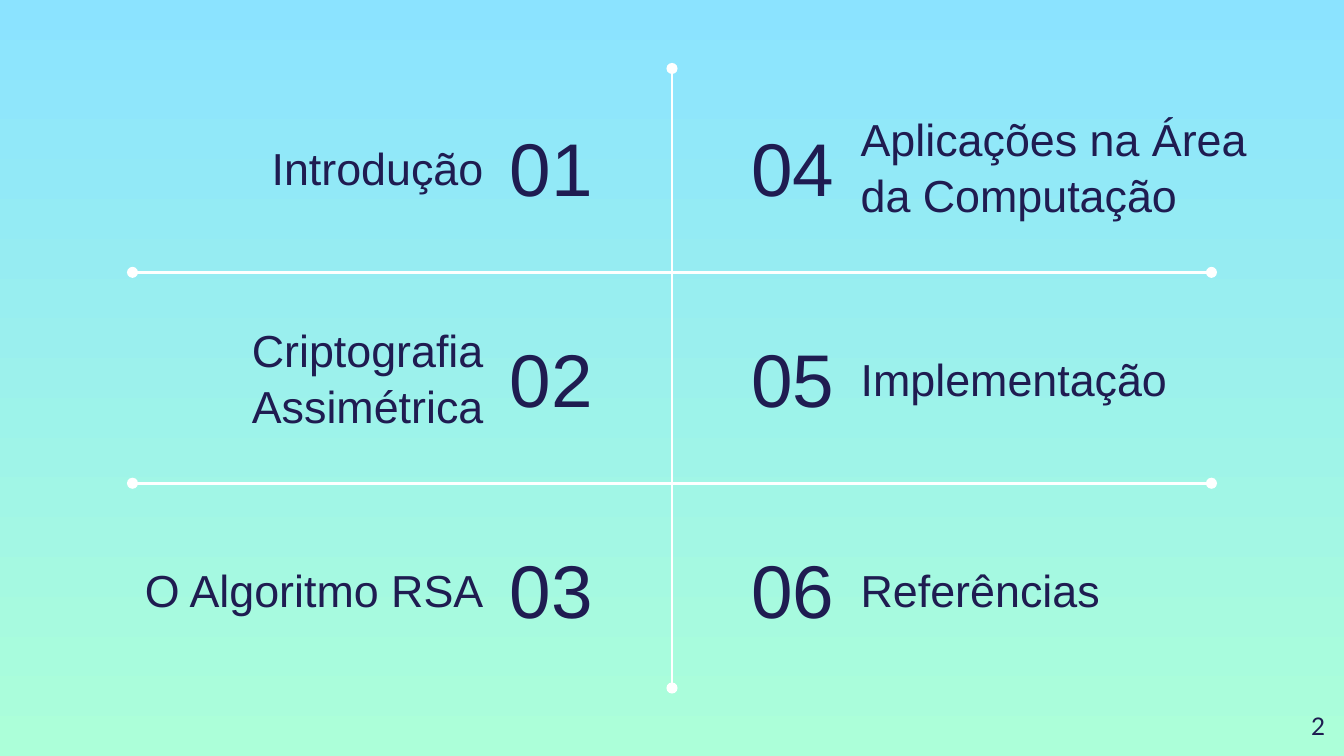
from pptx import Presentation
from pptx.dml.color import RGBColor as RGB
from pptx.enum.shapes import MSO_CONNECTOR as CONN
from pptx.enum.text import MSO_ANCHOR as ANCHOR, PP_ALIGN as ALIGN
from pptx.oxml.ns import qn
from pptx.util import Pt
from lxml import etree

COLORS = {"top": "8BE3FF", "bottom": "ACFFD9", "ink": "1F1C51", "line": "FFFFFF"}
WIDTH, HEIGHT = 720, 405
CENTER = WIDTH / 2
FIRST_ROW, ROW_PITCH = 89.4, 113  # centre of the first row, distance between rows
NUMBER_W, NUMBER_H = 94, 62
TOPIC_H, EXTRA_LINE = 44, 29

# Each column: side, topic width, topics with their line counts
COLUMNS = [
    ("left", 214.5, [("Introdução", 1), ("Criptografia Assimétrica", 2), ("O Algoritmo RSA", 1)]),
    ("right", 224, [("Aplicações na Área da Computação", 2), ("Implementação", 1), ("Referências", 1)]),
]


class Agenda:
    def __init__(self, prs):
        self.slide = prs.slides.add_slide(prs.slide_layouts[5])

    def background(self):
        fill = self.slide.background.fill
        fill.gradient()
        fill.gradient_angle = 270
        for stop, name in zip(fill.gradient_stops, ("top", "bottom")):
            stop.color.rgb = RGB.from_string(COLORS[name])

    def text(self, text, x, y, w, h, size, align, anchor, font="Arial", spacing=1.0, sp=None):
        sp = sp or self.slide.shapes.add_textbox(0, 0, 0, 0)
        sp.left, sp.top, sp.width, sp.height = Pt(x), Pt(y), Pt(w), Pt(h)
        tf = sp.text_frame
        tf.word_wrap = True
        tf.vertical_anchor = anchor
        tf.margin_left = tf.margin_right = tf.margin_top = tf.margin_bottom = Pt(7.2)
        p = tf.paragraphs[0]
        p.text = text
        p.alignment = align
        p.line_spacing = spacing
        p.font.size, p.font.name = Pt(size), font
        p.font.color.rgb = RGB.from_string(COLORS["ink"])

    def number(self, n, x, middle, align):
        # The first number is the slide title
        title = self.slide.shapes.title if n == 1 else None
        self.text(f"{n:02d}", x, middle - NUMBER_H / 2, NUMBER_W, NUMBER_H,
                  40, align, ANCHOR.MIDDLE, sp=title)

    def topic(self, text, lines, x, middle, w, align):
        h = TOPIC_H + EXTRA_LINE * (lines - 1)
        self.text(text, x, middle - h / 2, w, h, 24, align, ANCHOR.BOTTOM, spacing=1.05)

    def line(self, x1, y1, x2, y2):
        s = self.slide.shapes.add_connector(CONN.STRAIGHT, Pt(x1), Pt(y1), Pt(x2), Pt(y2))
        s.line.width = Pt(1.5)
        s.line.color.rgb = RGB.from_string(COLORS["line"])
        ln = s.line._get_or_add_ln()
        for end in ("a:headEnd", "a:tailEnd"):
            etree.SubElement(ln, qn(end), type="oval")
        etree.SubElement(s._element.spPr, qn("a:effectLst"))


def main():
    prs = Presentation()
    prs.slide_width, prs.slide_height = Pt(WIDTH), Pt(HEIGHT)
    agenda = Agenda(prs)
    agenda.background()

    # Dividing lines
    agenda.line(CENTER, 36.7, CENTER, 368.6)
    for i in range(2):
        y = FIRST_ROW + ROW_PITCH * (i + 0.5)
        agenda.line(71, y, WIDTH - 71, y)

    # Numbers next to the centre line, topics outside them
    n = 0
    for side, w, topics in COLUMNS:
        if side == "left":
            number_x, topic_x = CENTER - NUMBER_W, CENTER - NUMBER_W - w
            number_align, topic_align = ALIGN.LEFT, ALIGN.RIGHT
        else:
            number_x, topic_x = CENTER, CENTER + NUMBER_W
            number_align, topic_align = ALIGN.RIGHT, ALIGN.LEFT
        for row, (text, lines) in enumerate(topics):
            n += 1
            middle = FIRST_ROW + ROW_PITCH * row
            agenda.number(n, number_x, middle, number_align)
            agenda.topic(text, lines, topic_x, middle, w, topic_align)

    # Slide number
    agenda.text("2", 674, 374, 43, 31, 13, ALIGN.RIGHT, ANCHOR.TOP, font="Lato")

    prs.save("out.pptx")


if __name__ == "__main__":
    main()
